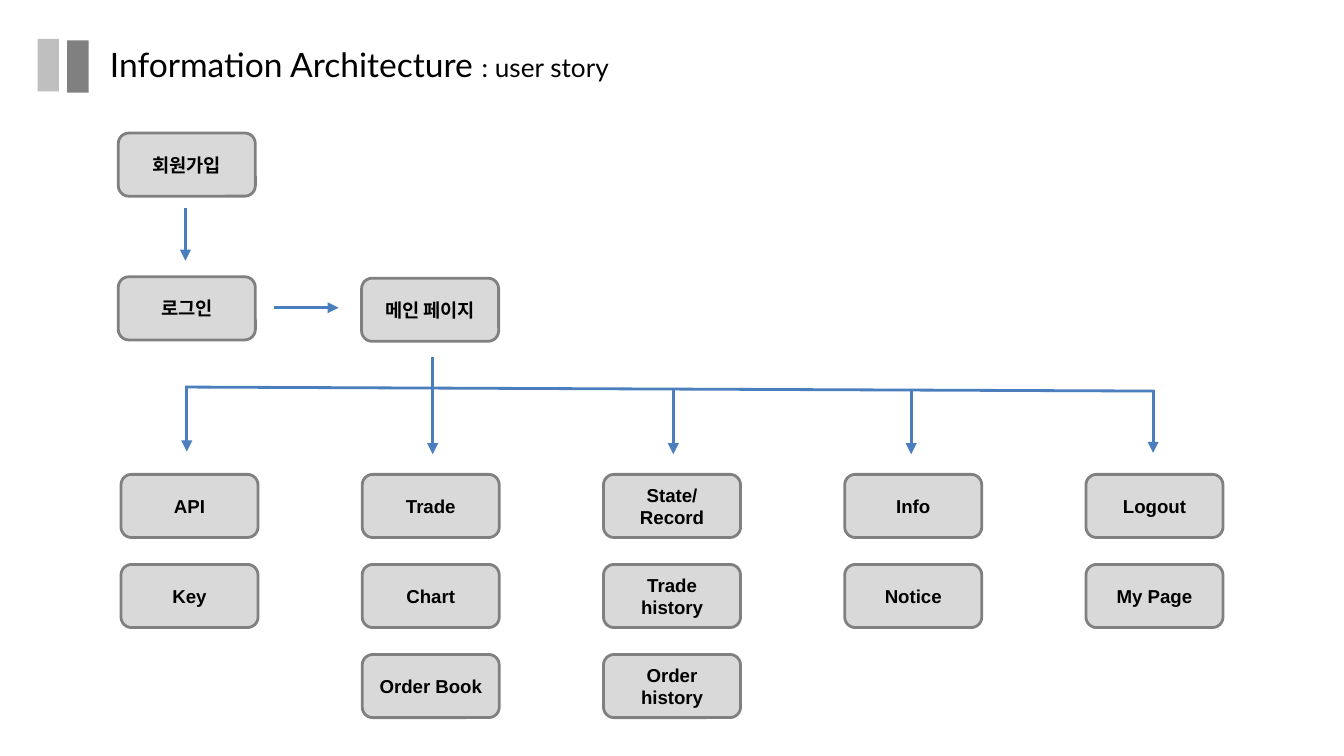
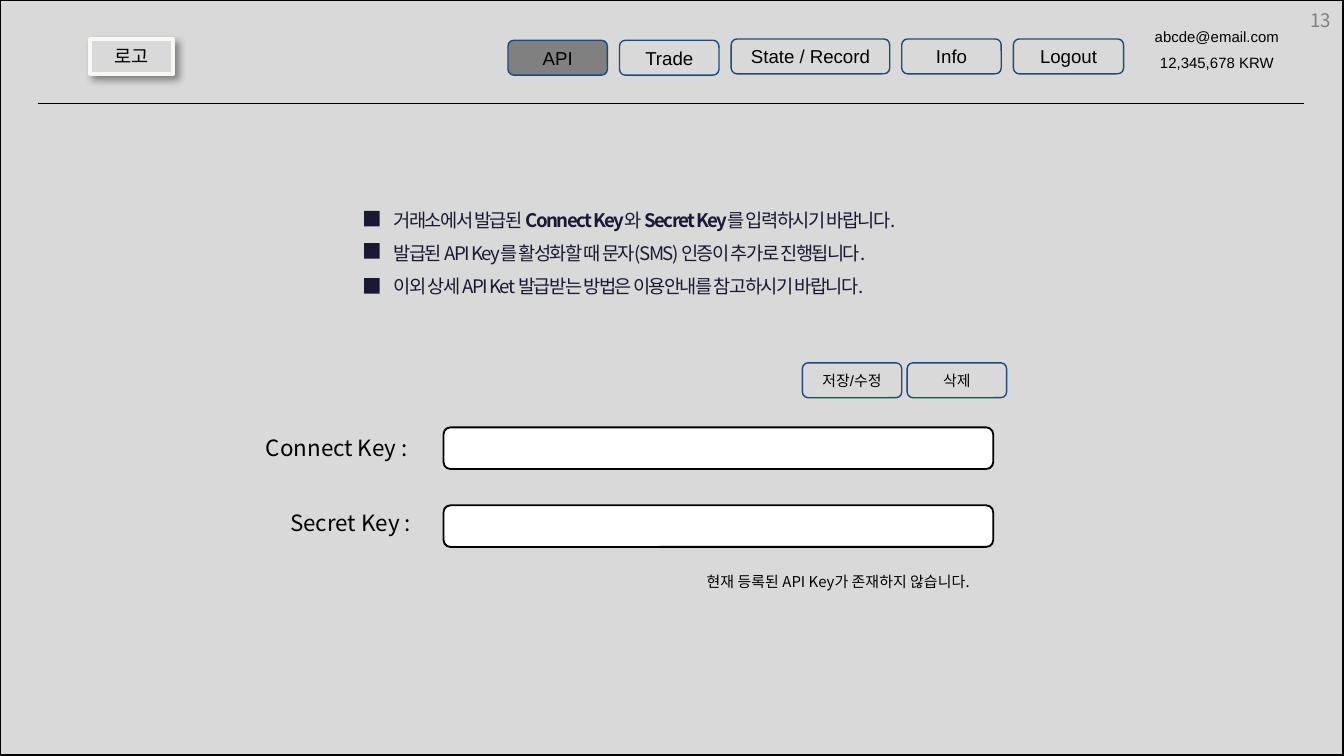
"""Build an information architecture map and an API key screen on a 100-column grid."""
from lxml import etree
from pptx import Presentation, util as u
from pptx.dml.color import RGBColor
from pptx.enum import shapes, text
from pptx.oxml.ns import qn

COLS, ROWS = 100, 56.25
UNIT = u.Inches(0.1)
COLORS = {"black": "000000", "white": "FFFFFF", "light": "D9D9D9", "mid": "BFBFBF",
          "gray": "808080", "arrow": "4B7EBC", "navy": "1F497D", "ink": "191933",
          "cream": "F8F7F3"}
LATIN, HEAD, KOREAN = "Arial", "Lato", "Noto Sans CJK KR"
RECT, ROUND = shapes.MSO_SHAPE.RECTANGLE, shapes.MSO_SHAPE.ROUNDED_RECTANGLE
LEFT, CENTER, RIGHT = text.PP_ALIGN.LEFT, text.PP_ALIGN.CENTER, text.PP_ALIGN.RIGHT
MIDDLE, TOP = text.MSO_ANCHOR.MIDDLE, text.MSO_ANCHOR.TOP


def grid(*lengths):
    """Turn columns and rows into slide lengths."""
    return [round(n * UNIT) for n in lengths]


def rgb(name):
    """Look up a colour by name."""
    return RGBColor.from_string(COLORS[name])


def add_run(p, words, size, font, color="black", bold=False, track=0):
    """Add one styled run to a paragraph."""
    r = p.add_run()
    r.text = words
    r.font.size, r.font.name, r.font.bold = u.Pt(size), font, bold
    r.font.color.rgb = rgb(color)
    rPr = r.font._element
    etree.SubElement(rPr, qn("a:ea")).set("typeface", KOREAN)
    if track:
        rPr.set("spc", str(round(track * 100)))


def add_paragraph(tf, align=LEFT, spacing=None, before=None):
    """Return the first empty paragraph of a frame, or a new one."""
    p = tf.paragraphs[0]
    if p.runs:
        p = tf.add_paragraph()
    p.alignment = align
    if spacing:
        p.line_spacing = spacing
    if before:
        p.space_before = u.Pt(before)
    return p


def add_box(s, at, fill, line=None, width=1, kind=RECT):
    """Add a flat filled shape with an optional outline."""
    sp = s.shapes.add_shape(kind, *grid(*at))
    sp.shadow.inherit = False
    sp.fill.solid()
    sp.fill.fore_color.rgb = rgb(fill)
    if line:
        sp.line.color.rgb, sp.line.width = rgb(line), u.Pt(width)
    else:
        sp.line.fill.background()
    return sp


def add_label(sp, words, size, font=LATIN, bold=False, inset=1, spacing=None):
    """Centre text in a shape, with line breaks kept."""
    tf = sp.text_frame
    tf.word_wrap, tf.vertical_anchor = True, MIDDLE
    tf.margin_top, tf.margin_bottom = grid(inset, inset)
    for block in words if isinstance(words, list) else [words]:
        p = add_paragraph(tf, CENTER, spacing)
        for i, part in enumerate(block.split("\n")):
            if i:
                p.add_line_break()
            add_run(p, part, size, font, bold=bold)


def add_textbox(s, at, anchor=TOP):
    """Add a wrapping text box and return its frame."""
    tf = s.shapes.add_textbox(*grid(*at)).text_frame
    tf.word_wrap, tf.vertical_anchor = True, anchor
    if anchor == TOP:
        tf.auto_size = text.MSO_AUTO_SIZE.SHAPE_TO_FIT_TEXT
    return tf


def add_line(s, start, end, color="arrow", width=1.5, arrow=True):
    """Draw a straight line, with an arrowhead if wanted."""
    c = s.shapes.add_connector(shapes.MSO_CONNECTOR.STRAIGHT, *grid(*start, *end))
    c.line.color.rgb, c.line.width = rgb(color), u.Pt(width)
    if arrow:
        etree.SubElement(c.line._get_or_add_ln(), qn("a:tailEnd")).set("type", "triangle")
    etree.SubElement(c._element.spPr, qn("a:effectLst"))


def add_shadow(sp, blur, distance, angle, opacity):
    """Give a shape an outer shadow."""
    effects = sp._element.spPr.find(qn("a:effectLst"))
    shadow = etree.SubElement(effects, qn("a:outerShdw"), blurRad=str(u.Pt(blur)),
                              dist=str(u.Pt(distance)), dir=str(angle * 60000),
                              algn="tl", rotWithShape="0")
    color = etree.SubElement(shadow, qn("a:srgbClr"), val=COLORS["black"])
    etree.SubElement(color, qn("a:alpha"), val=str(opacity * 1000))


def add_node(s, x, y, words):
    """Add one page of the site map."""
    sp = add_box(s, (x, y, 10.2, 4.7), "light", "gray", 1.5, ROUND)
    add_label(sp, words, 10, bold=True)


def add_button(s, x, y, w, words, size=10, fill="light"):
    """Add one outlined button of the screen."""
    sp = add_box(s, (x, y, w, 2.6), fill, "navy", 0.75, ROUND)
    add_label(sp, words, size)


def add_field(s, y, label, label_x, label_y):
    """Add an input field with its label."""
    add_box(s, (33, y, 40.9, 3.1), "white", "black", 1, ROUND)
    tf = add_textbox(s, (label_x, label_y, 12.9, 3))
    add_run(add_paragraph(tf), label, 12, KOREAN)


def build_site_map(s):
    """Build the user story slide."""
    add_box(s, (2.8, 2.9, 1.6, 3.9), "mid")
    add_box(s, (5, 3, 1.6, 3.9), "gray")
    p = add_paragraph(add_textbox(s, (7.2, 2.8, 50, 4)))
    add_run(p, "Information Architecture ", 18, HEAD)
    add_run(p, ": user story", 14, HEAD)

    add_node(s, 8.8, 9.9, "회원가입")
    add_node(s, 8.8, 20.6, "로그인")
    add_node(s, 26.9, 20.7, "메인 페이지")
    menus = [["API", "Key"], ["Trade", "Chart", "Order Book"],
             ["State/\nRecord", "Trade\nhistory", "Order\nhistory"],
             ["Info", "Notice"], ["Logout", "My Page"]]
    for col, menu in enumerate(menus):
        for row, words in enumerate(menu):
            add_node(s, 9 + 17.95 * col, 35.3 + 6.7 * row, words)

    add_line(s, (20.4, 22.9), (25.2, 22.9))
    add_line(s, (13.8, 15.5), (13.8, 19.4))
    add_line(s, (13.8, 28.8), (85.9, 29.1), arrow=False)
    for x, top, tip in [(13.9, 28.7, 33.6), (32.2, 26.6, 33.8), (50.1, 29, 33.8),
                        (67.8, 29.1, 33.8), (85.8, 29, 33.7)]:
        add_line(s, (x, top), (x, tip))


def build_key_screen(s):
    """Build the API key registration screen."""
    add_box(s, (0, 0, COLS, ROWS), "light", "black", 1.5)
    p = add_paragraph(add_textbox(s, (94, 0, 6, 3), MIDDLE), RIGHT)
    add_run(p, "13", 10, KOREAN, "gray")

    logo = add_box(s, (6.7, 2.9, 6.2, 2.6), "light", "cream", 2)
    add_shadow(logo, 4, 3, 45, 40)
    add_label(logo, "로고", 10, KOREAN, inset=0.5)
    x = 37.8
    for words, y, w in [("API", 3, 7.4), ("Trade", 3, 7.4), ("State / Record", 2.9, 11.8),
                        ("Info", 2.9, 7.4), ("Logout", 2.9, 8.2)]:
        add_button(s, x, y, w, words, fill="gray" if words == "API" else "light")
        x += w + 0.9
    add_line(s, (2.8, 7.7), (97, 7.7), "black", 0.75, arrow=False)
    account = add_box(s, (84.1, 0.6, 12.9, 5.5), "light", kind=ROUND)
    add_label(account, ["abcde@email.com", "12,345,678 KRW"], 8, spacing=1.5)

    add_field(s, 31.8, "Connect Key :", 18.8, 31.8)
    add_field(s, 37.6, "Secret Key :", 20.6, 37.4)
    add_button(s, 59.7, 27, 7.4, "저장/수정", 8)
    add_button(s, 67.5, 27, 7.4, "삭제", 8)
    tf = add_textbox(s, (51.6, 42.1, 24.7, 2.4))
    add_run(add_paragraph(tf), "현재 등록된 API Key가 존재하지 않습니다.", 8, KOREAN)

    guides = [["거래소에서 발급된 ", "Connect Key", "와 ", "Secret Key", "를 입력하시기 바랍니다."],
              ["발급된 API Key를 활성화할 때 문자(SMS) 인증이 추가로 진행됩니다."],
              ["이외 상세 API Ket 발급받는 방법은 이용안내를 참고하시기 바랍니다."]]
    tf = add_textbox(s, (28.3, 14.7, 61.3, 7.9))
    for guide, y in zip(guides, (15.7, 18.1, 20.7)):
        p = add_paragraph(tf, spacing=1.23, before=2.9)
        for i, words in enumerate(guide):
            add_run(p, words, 10, KOREAN, "ink", bold=i % 2 == 1, track=-0.8)
        add_box(s, (27.1, y, 1.15, 1.15), "ink")


def main():
    """Build both slides and save them."""
    prs = Presentation()
    prs.slide_width, prs.slide_height = grid(COLS, ROWS)
    for build in (build_site_map, build_key_screen):
        build(prs.slides.add_slide(prs.slide_layouts[6]))
    prs.save("out.pptx")


if __name__ == "__main__":
    main()
